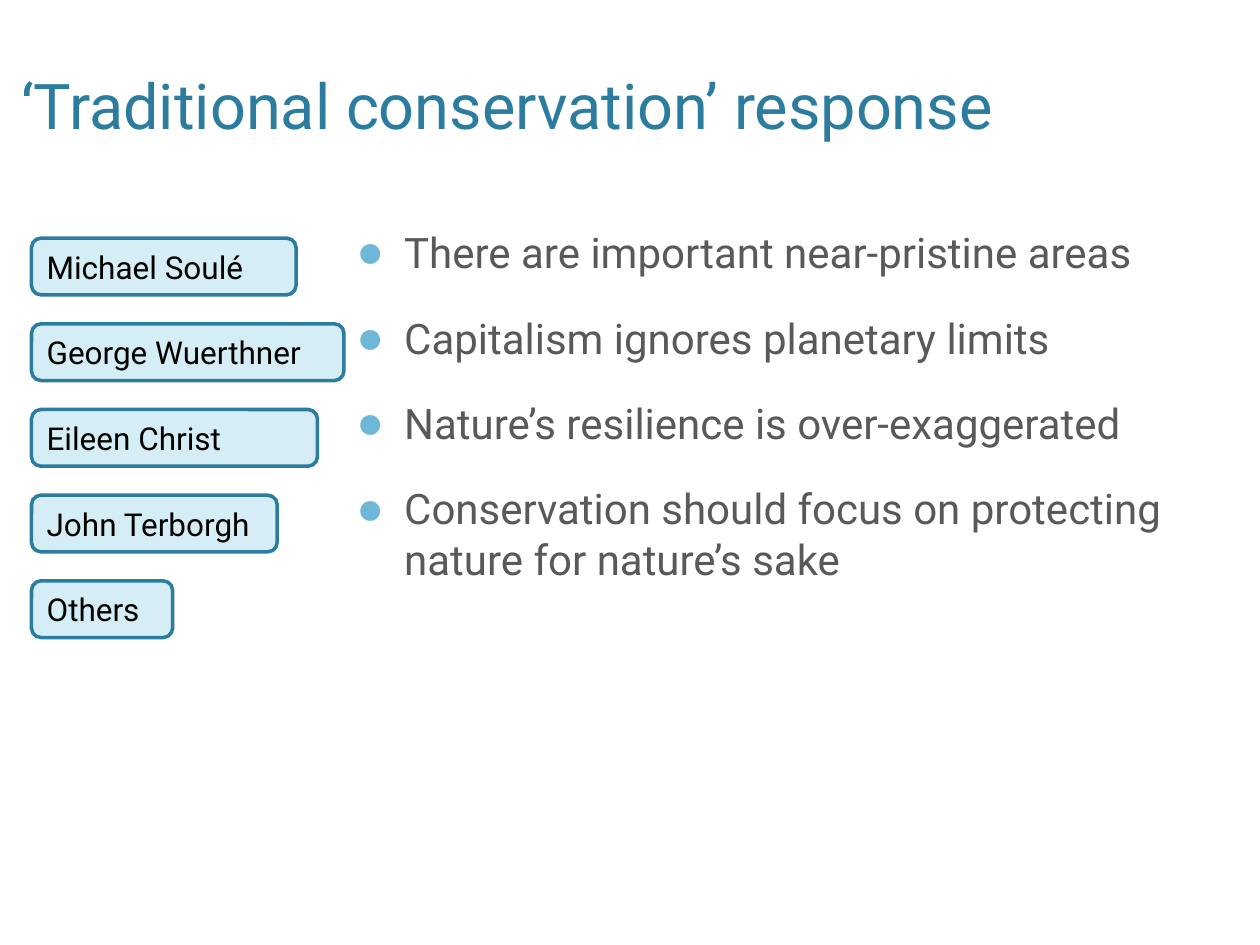
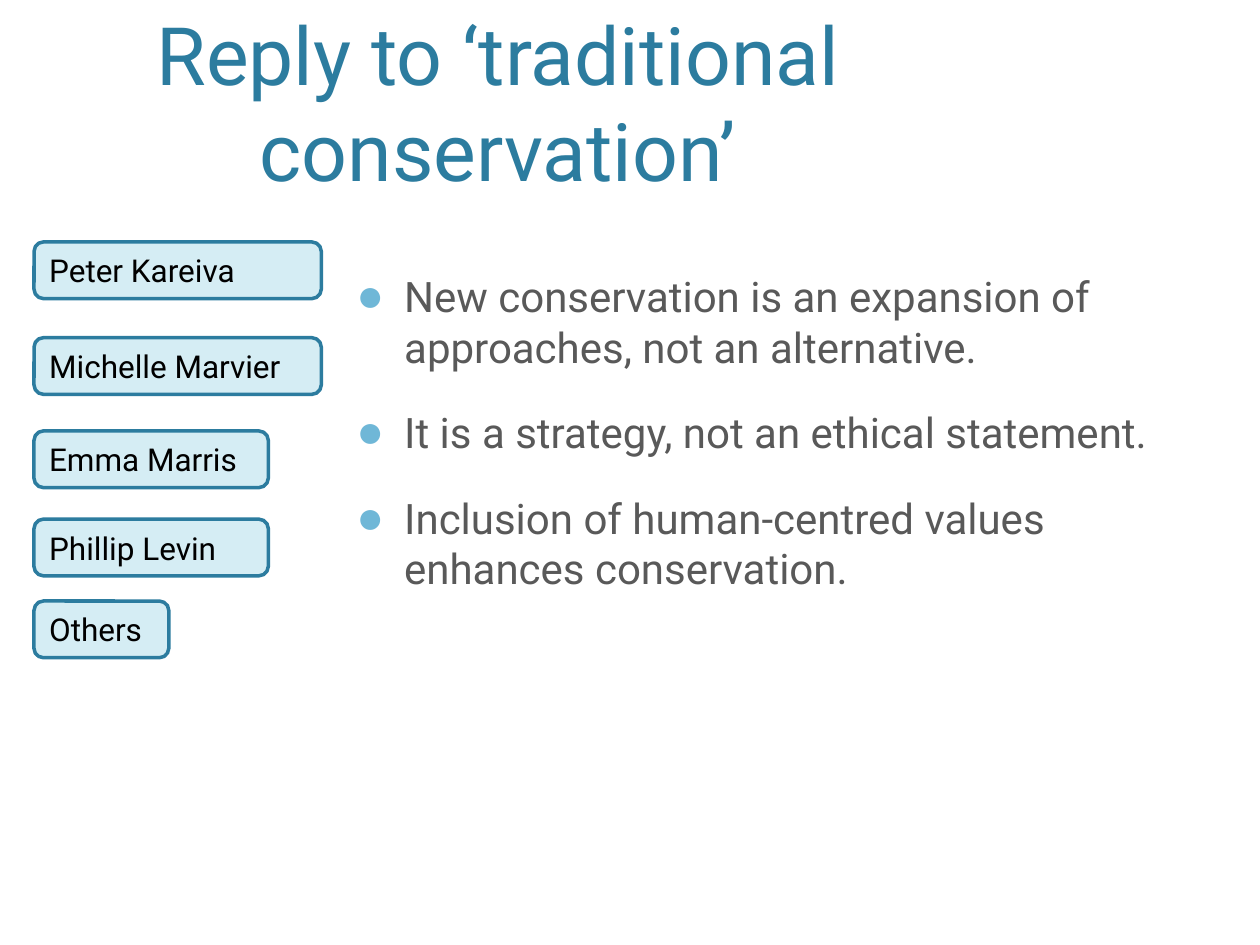
from lxml import etree
from pptx import Presentation
from pptx.dml.color import RGBColor
from pptx.enum.shapes import MSO_SHAPE
from pptx.enum.text import MSO_ANCHOR, PP_ALIGN
from pptx.oxml.ns import qn
from pptx.util import Inches, Pt

ROUNDED = MSO_SHAPE.ROUNDED_RECTANGLE
TOP, MIDDLE, BOTTOM = MSO_ANCHOR.TOP, MSO_ANCHOR.MIDDLE, MSO_ANCHOR.BOTTOM
LEFT, CENTER = PP_ALIGN.LEFT, PP_ALIGN.CENTER
COLUMNS, ROWS = 100, 75
FONT = "Roboto"
TEAL, PALE, SKY, GREY, BLACK = "2C7C9F", "D5EDF4", "6FB7D7", "595959", "000000"
NAME_HEIGHT = 4.5


def color(value):
    return RGBColor.from_string(value)


class Deck:
    def __init__(self):
        self.prs = Presentation()
        self.prs.slide_width = Inches(10)
        self.prs.slide_height = Inches(7.5)
        self.s = None

    def new_slide(self):
        self.s = self.prs.slides.add_slide(self.prs.slide_layouts[6])

    def box(self, left, top, width, height):
        dx = self.prs.slide_width / COLUMNS
        dy = self.prs.slide_height / ROWS
        return [round(n) for n in (left * dx, top * dy, width * dx, height * dy)]

    def add_text(self, sp, lines, size, fill, align=LEFT, anchor=TOP):
        tf = sp.text_frame
        tf.word_wrap = True
        tf.vertical_anchor = anchor
        for i, line in enumerate(lines):
            p = tf.add_paragraph() if i else tf.paragraphs[0]
            p.alignment = align
            r = p.add_run()
            r.text = line
            r.font.name = FONT
            r.font.size = Pt(size)
            r.font.color.rgb = color(fill)
        return tf

    def title(self, text, size, *place):
        sp = self.s.shapes.add_textbox(*self.box(*place))
        self.add_text(sp, [text], size, TEAL, CENTER, BOTTOM)

    def name(self, text, left, top, width):
        sp = self.s.shapes.add_shape(ROUNDED, *self.box(left, top, width, NAME_HEIGHT))
        sp.shadow.inherit = False
        sp.fill.solid()
        sp.fill.fore_color.rgb = color(PALE)
        sp.line.color.rgb = color(TEAL)
        sp.line.width = Pt(2)
        self.add_text(sp, [text], 18, BLACK, anchor=MIDDLE)

    def bullets(self, lines, top):
        sp = self.s.shapes.add_textbox(*self.box(27.3, top, 66.6, 47.5))
        for p in self.add_text(sp, lines, 24, GREY).paragraphs:
            p.space_before = Pt(20)
            pPr = p._p.get_or_add_pPr()
            pPr.set("marL", str(Inches(0.38)))
            pPr.set("indent", str(-Inches(0.38)))
            tint = etree.SubElement(pPr, qn("a:buClr"))
            etree.SubElement(tint, qn("a:srgbClr"), val=SKY)
            etree.SubElement(pPr, qn("a:buSzPct"), val="110000")
            etree.SubElement(pPr, qn("a:buFont"), typeface="Arial")
            etree.SubElement(pPr, qn("a:buChar"), char="●")


def traditional_response(deck):
    deck.new_slide()
    deck.title("‘Traditional conservation’ response", 36, 0, 1.2, 80.5, 10.6)
    deck.bullets([
        "There are important near-pristine areas",
        "Capitalism ignores planetary limits",
        "Nature’s resilience is over-exaggerated",
        "Conservation should focus on protecting nature for nature’s sake",
    ], 17.5)
    critics = [
        ("Michael Soulé", 21),
        ("George Wuerthner", 24.8),
        ("Eileen Christ", 22.7),
        ("John Terborgh", 19.5),
        ("Others", 11.2),
    ]
    for row, (critic, width) in enumerate(critics):
        deck.name(critic, 2.5, 18.9 + 6.8 * row, width)


def reply(deck):
    deck.new_slide()
    deck.title("Reply to ‘traditional conservation’", 46, 2.7, 5.3, 73.6, 10.9)
    deck.bullets([
        "New conservation is an expansion of approaches, not an alternative.",
        "It is a strategy, not an ethical statement.",
        "Inclusion of human-centred values enhances conservation.",
    ], 21)
    supporters = [
        ("Peter Kareiva", 19.2, 22.8),
        ("Michelle Marvier", 26.8, 22.8),
        ("Emma Marris", 34.2, 18.6),
        ("Phillip Levin", 41.2, 18.6),
        ("Others", 47.7, 10.7),
    ]
    for supporter, top, width in supporters:
        deck.name(supporter, 2.7, top, width)


def main():
    deck = Deck()
    traditional_response(deck)
    reply(deck)
    deck.prs.save("out.pptx")


if __name__ == "__main__":
    main()
